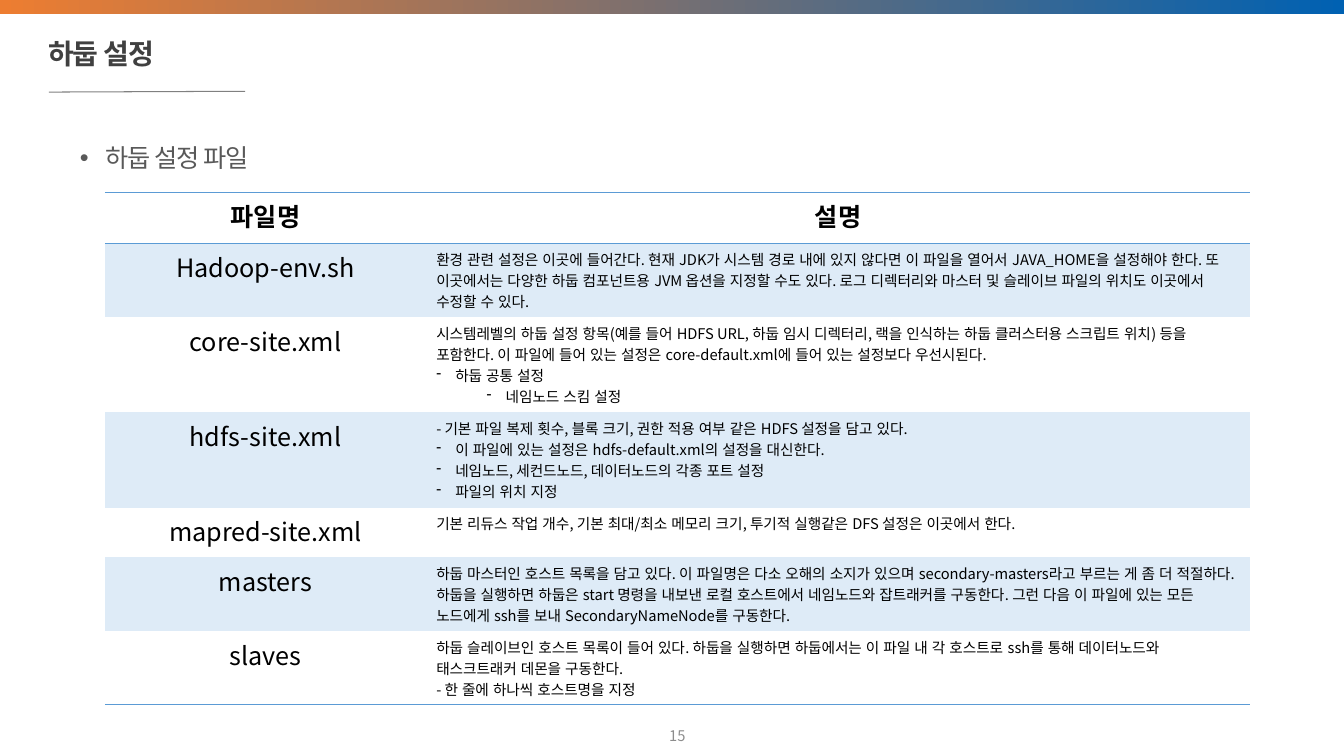
from lxml.etree import SubElement
from pptx import Presentation
from pptx.dml.color import RGBColor
from pptx.enum.lang import MSO_LANGUAGE_ID
from pptx.enum.shapes import MSO_CONNECTOR, MSO_SHAPE
from pptx.enum.text import MSO_ANCHOR, PP_ALIGN
from pptx.oxml import parse_xml
from pptx.oxml.ns import nsdecls, qn
from pptx.util import Cm, Pt

ORANGE = RGBColor(0xED, 0x7D, 0x31)
NAVY = RGBColor(0x00, 0x61, 0xB2)
BLUE = RGBColor(0x5B, 0x9B, 0xD5)
PALE = RGBColor(0xDE, 0xEB, 0xF7)
BLACK = RGBColor(0x00, 0x00, 0x00)
DARK = RGBColor(0x40, 0x40, 0x40)
SLATE = RGBColor(0x59, 0x59, 0x59)
GRAY = RGBColor(0x80, 0x80, 0x80)
SILVER = RGBColor(0x8C, 0x8C, 0x8C)
SANS = "Noto Sans CJK KR"
NO_GRID = "{2D5ABB26-0587-4C30-8999-92F81FD0307C}"

WIDTH, HEIGHT = Cm(33.87), Cm(19.05)
HANG = Cm(0.48)   # hanging indent of dashed items
DEEP = Cm(1.75)   # left margin of second-level items

HEADS = ["파일명", "설명"]
# File name, row height in cm, paragraphs as (left margin, text); 0 means no dash
FILES = [
    ("Hadoop-env.sh", 1.86, [
        (0, "환경 관련 설정은 이곳에 들어간다. 현재 JDK가 시스템 경로 내에 있지 않다면 이 파일을 "
            "열어서 JAVA_HOME을 설정해야 한다. 또 이곳에서는 다양한 하둡 컴포넌트용 JVM 옵션을 "
            "지정할 수도 있다. 로그 디렉터리와 마스터 및 슬레이브 파일의 위치도 이곳에서 수정할 수 있다.")]),
    ("core-site.xml", 2.4, [
        (0, "시스템레벨의 하둡 설정 항목(예를 들어 HDFS URL, 하둡 임시 디렉터리, 랙을 인식하는 하둡 "
            "클러스터용 스크립트 위치) 등을 포함한다. 이 파일에 들어 있는 설정은 core-default.xml에 "
            "들어 있는 설정보다 우선시된다."),
        (HANG, "하둡 공통 설정"),
        (DEEP, "네임노드 스킴 설정")]),
    ("hdfs-site.xml", 2.4, [
        (0, "- 기본 파일 복제 횟수, 블록 크기, 권한 적용 여부 같은 HDFS 설정을 담고 있다."),
        (HANG, "이 파일에 있는 설정은 hdfs-default.xml의 설정을 대신한다."),
        (HANG, "네임노드, 세컨드노드, 데이터노드의 각종 포트 설정"),
        (HANG, "파일의 위치 지정")]),
    ("mapred-site.xml", 1.25, [
        (0, "기본 리듀스 작업 개수, 기본 최대/최소 메모리 크기, 투기적 실행같은 DFS 설정은 "
            "이곳에서 한다.")]),
    ("masters", 1.86, [
        (0, "하둡 마스터인 호스트 목록을 담고 있다. 이 파일명은 다소 오해의 소지가 있으며 "
            "secondary-masters라고 부르는 게 좀 더 적절하다. 하둡을 실행하면 하둡은 start 명령을 "
            "내보낸 로컬 호스트에서 네임노드와 잡트래커를 구동한다. 그런 다음 이 파일에 있는 모든 "
            "노드에게 ssh를 보내 SecondaryNameNode를 구동한다.")]),
    ("slaves", 1.86, [
        (0, "하둡 슬레이브인 호스트 목록이 들어 있다. 하둡을 실행하면 하둡에서는 이 파일 내 각 "
            "호스트로 ssh를 통해 데이터노드와 태스크트래커 데몬을 구동한다."),
        (0, "- 한 줄에 하나씩 호스트명을 지정")]),
]


def style(para, size, color, name=SANS, bold=False, tight=False):
    font = para.font
    font.size, font.name, font.bold = Pt(size), name, bold
    font.color.rgb = color
    font.language_id = MSO_LANGUAGE_ID.KOREAN
    if name == SANS:
        SubElement(font._element, qn("a:ea")).set("typeface", name)
    if tight:
        font._element.set("spc", "-100")


def bullet(para, mark, left, hang):
    props = para._p.get_or_add_pPr()
    props.set("marL", str(int(left)))
    props.set("indent", str(-int(hang)))
    char = parse_xml(f'<a:buChar {nsdecls("a")} char="{mark}"/>')
    props.insert_element_before(char, "a:tabLst", "a:defRPr", "a:extLst")


def border(cell, *sides):
    props = cell._tc.get_or_add_tcPr()
    for side in sides:
        props.append(parse_xml(
            f'<a:{side} {nsdecls("a")} w="12700"><a:solidFill>'
            f'<a:srgbClr val="{BLUE}"/></a:solidFill></a:{side}>'))


def place(shape, left, top, width, height):
    shape.left, shape.top, shape.width, shape.height = left, top, width, height


def add_band(slide, left, top, width, height):
    band = slide.shapes.add_shape(MSO_SHAPE.RECTANGLE, left, top, width, height)
    band.shadow.inherit = False
    band.line.fill.background()
    band.fill.gradient()
    band.fill.gradient_angle = 0
    for stop, color, at in zip(band.fill.gradient_stops, (ORANGE, NAVY), (0, 1)):
        stop.color.rgb = color
        stop.position = at


def add_title(slide, left, top, width, height):
    title = slide.shapes.title
    place(title, left, top, width, height)
    frame = title.text_frame
    frame.text = "하둡 설정"
    frame.vertical_anchor = MSO_ANCHOR.MIDDLE
    para = frame.paragraphs[0]
    para.alignment = PP_ALIGN.LEFT
    para.line_spacing = 0.9
    style(para, 20, DARK, "Arial", bold=True, tight=True)
    # Rule under the title
    start = left + Cm(0.26)
    rule = slide.shapes.add_connector(
        MSO_CONNECTOR.STRAIGHT, start, top + Cm(1.5), start + Cm(4.95), top + Cm(1.48))
    rule.line.color.rgb = GRAY
    rule.line.width = Pt(0.75)
    SubElement(rule._element.spPr, qn("a:effectLst"))


def add_body(slide, left, top, width, height):
    body = slide.placeholders[1]
    place(body, left, top, width, height)
    body.text_frame.text = "하둡 설정 파일"
    para = body.text_frame.paragraphs[0]
    para.line_spacing = 1.25
    para.space_before = Pt(10)
    style(para, 18, SLATE, "Arial", tight=True)
    bullet(para, "•", Cm(0.64), Cm(0.64))


def fill_name(cell, text, bold=False):
    cell.text = text
    para = cell.text_frame.paragraphs[0]
    para.alignment = PP_ALIGN.CENTER
    style(para, 18, BLACK, bold=bold)


def fill_notes(cell, items):
    cell.text = "\n".join(text for _, text in items)
    for para, (left, _) in zip(cell.text_frame.paragraphs, items):
        style(para, 10.5, BLACK)
        if left:
            bullet(para, "-", left, HANG)
        if left == DEEP:
            para.level = 1


def add_files(slide, left, top, width, height):
    table = slide.shapes.add_table(
        len(FILES) + 1, len(HEADS), left, top, width, height).table
    table.horz_banding = False
    table._tbl.tblPr.find(qn("a:tableStyleId")).text = NO_GRID
    table.columns[0].width = Cm(8.1)
    table.columns[1].width = width - Cm(8.1)
    # Header row
    table.rows[0].height = Cm(1.28)
    for col, head in enumerate(HEADS):
        fill_name(table.cell(0, col), head, bold=True)
        border(table.cell(0, col), "lnT", "lnB")
    # File rows, every other one tinted
    for row, (name, tall, items) in enumerate(FILES, 1):
        table.rows[row].height = Cm(tall)
        fill_name(table.cell(row, 0), name)
        fill_notes(table.cell(row, 1), items)
        for cell in table.rows[row].cells:
            if row == len(FILES):
                border(cell, "lnB")
            if row % 2:
                cell.fill.solid()
                cell.fill.fore_color.rgb = PALE
            else:
                cell.fill.background()


def add_page(slide, left, top, width, height):
    frame = slide.shapes.add_textbox(left, top, width, height).text_frame
    frame.word_wrap = True
    frame.vertical_anchor = MSO_ANCHOR.MIDDLE
    frame.text = "15"
    frame.paragraphs[0].alignment = PP_ALIGN.CENTER
    style(frame.paragraphs[0], 10.5, SILVER)


def main():
    deck = Presentation()
    deck.slide_width, deck.slide_height = WIDTH, HEIGHT
    slide = deck.slides.add_slide(deck.slide_layouts[1])
    add_band(slide, 0, 0, WIDTH, Cm(0.35))
    add_title(slide, Cm(0.97), Cm(0.82), Cm(18.72), Cm(1.14))
    add_body(slide, Cm(1.76), Cm(3.28), Cm(30.58), Cm(14.22))
    add_page(slide, Cm(13.26), Cm(18.03), Cm(7.62), Cm(1.02))
    add_files(slide, Cm(2.64), Cm(4.85), Cm(28.86), Cm(12.91))
    deck.save("out.pptx")


if __name__ == "__main__":
    main()
